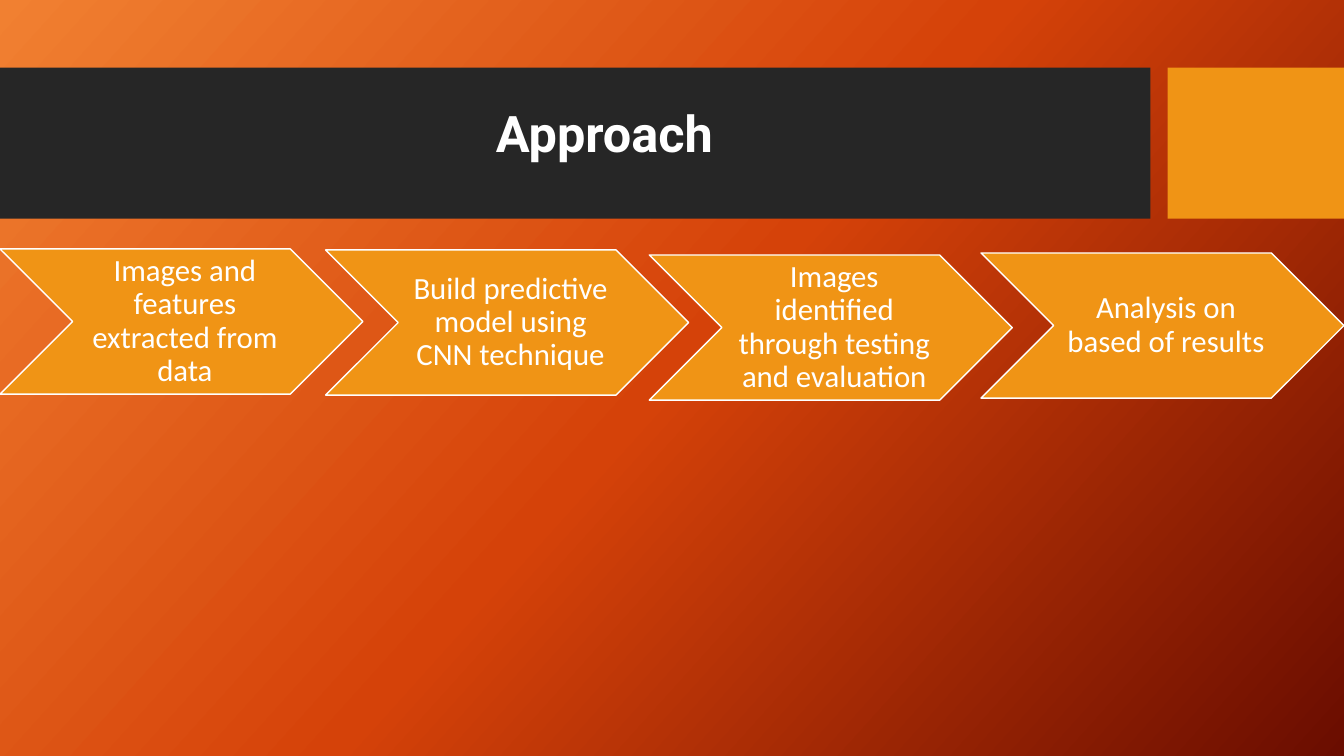
from copy import deepcopy
from dataclasses import dataclass

from pptx import Presentation
from pptx.dml.color import RGBColor
from pptx.enum.shapes import MSO_SHAPE
from pptx.enum.text import MSO_ANCHOR, PP_ALIGN
from pptx.oxml.ns import qn
from pptx.util import Inches, Pt


@dataclass(frozen=True)
class Theme:
    band: str = "262626"
    accent: str = "F09415"
    light: str = "FFFFFF"
    backdrop: tuple = ((0, "F18031"), (0.5, "D54209"), (1, "6A0D00"))
    backdrop_angle: int = 42  # clockwise
    title_font: str = "Roboto"
    step_font: str = "Calibri"
    title_size: int = 36
    step_size: int = 22


class SlideBuilder:
    def __init__(self, slide, theme):
        self.slide = slide
        self.theme = theme

    def background(self):
        fill = self.slide.background.fill
        fill.gradient()
        fill.gradient_angle = 360 - self.theme.backdrop_angle
        # A new gradient has two stops; add one for the middle colour
        stop_list = self.slide.element.find(".//" + qn("a:gsLst"))
        stop_list.append(deepcopy(stop_list[0]))
        for stop, (position, color) in zip(fill.gradient_stops, self.theme.backdrop):
            stop.position = position
            stop.color.rgb = RGBColor.from_string(color)

    def block(self, kind, left, top, width, height, color, outlined=False):
        block = self.slide.shapes.add_shape(
            kind, Inches(left), Inches(top), Inches(width), Inches(height))
        block.shadow.inherit = False
        block.fill.solid()
        block.fill.fore_color.rgb = RGBColor.from_string(color)
        if outlined:
            block.line.color.rgb = RGBColor.from_string(self.theme.light)
            block.line.width = Pt(1)
        else:
            block.line.fill.background()
        return block

    def set_text(self, frame, text, font, size, bold=False):
        frame.word_wrap = True
        frame.vertical_anchor = MSO_ANCHOR.MIDDLE
        frame.text = text
        paragraph = frame.paragraphs[0]
        paragraph.alignment = PP_ALIGN.CENTER
        paragraph.line_spacing = 0.9
        style = paragraph.runs[0].font
        style.name, style.size, style.bold = font, Pt(size), bold
        style.color.rgb = RGBColor.from_string(self.theme.light)

    def title(self, text, left, top, width, height):
        heading = self.slide.shapes.add_textbox(
            Inches(left), Inches(top), Inches(width), Inches(height))
        self.set_text(heading.text_frame, text, self.theme.title_font,
                      self.theme.title_size, bold=True)

    def step(self, text, left, top, width, height):
        chevron = self.block(MSO_SHAPE.CHEVRON, left, top, width, height,
                             self.theme.accent, outlined=True)
        frame = chevron.text_frame
        frame.margin_left = Inches(0.1)
        frame.margin_top = frame.margin_right = frame.margin_bottom = Inches(0.03)
        self.set_text(frame, text, self.theme.step_font, self.theme.step_size)


STEP_WIDTH, STEP_HEIGHT = 3.6, 1.44
STEPS = [  # left, top, text
    (0, 2.47, "Images and features extracted from data"),
    (3.23, 2.48, "Build predictive model using CNN technique"),
    (6.44, 2.53, "Images identified through testing and evaluation"),
    (9.73, 2.51, "Analysis on based of results"),
]


def main():
    presentation = Presentation()
    presentation.slide_width = Inches(13.33)
    presentation.slide_height = Inches(7.5)
    theme = Theme()
    builder = SlideBuilder(
        presentation.slides.add_slide(presentation.slide_layouts[6]), theme)

    # Backdrop and title band
    builder.background()
    builder.block(MSO_SHAPE.RECTANGLE, 0, 0.67, 11.41, 1.5, theme.band)
    builder.block(MSO_SHAPE.RECTANGLE, 11.58, 0.67, 1.75, 1.5, theme.accent)
    builder.title("Approach", 0.74, 0.6, 10.51, 1.5)

    # Process steps
    for left, top, text in STEPS:
        builder.step(text, left, top, STEP_WIDTH, STEP_HEIGHT)

    presentation.save("out.pptx")


if __name__ == "__main__":
    main()
